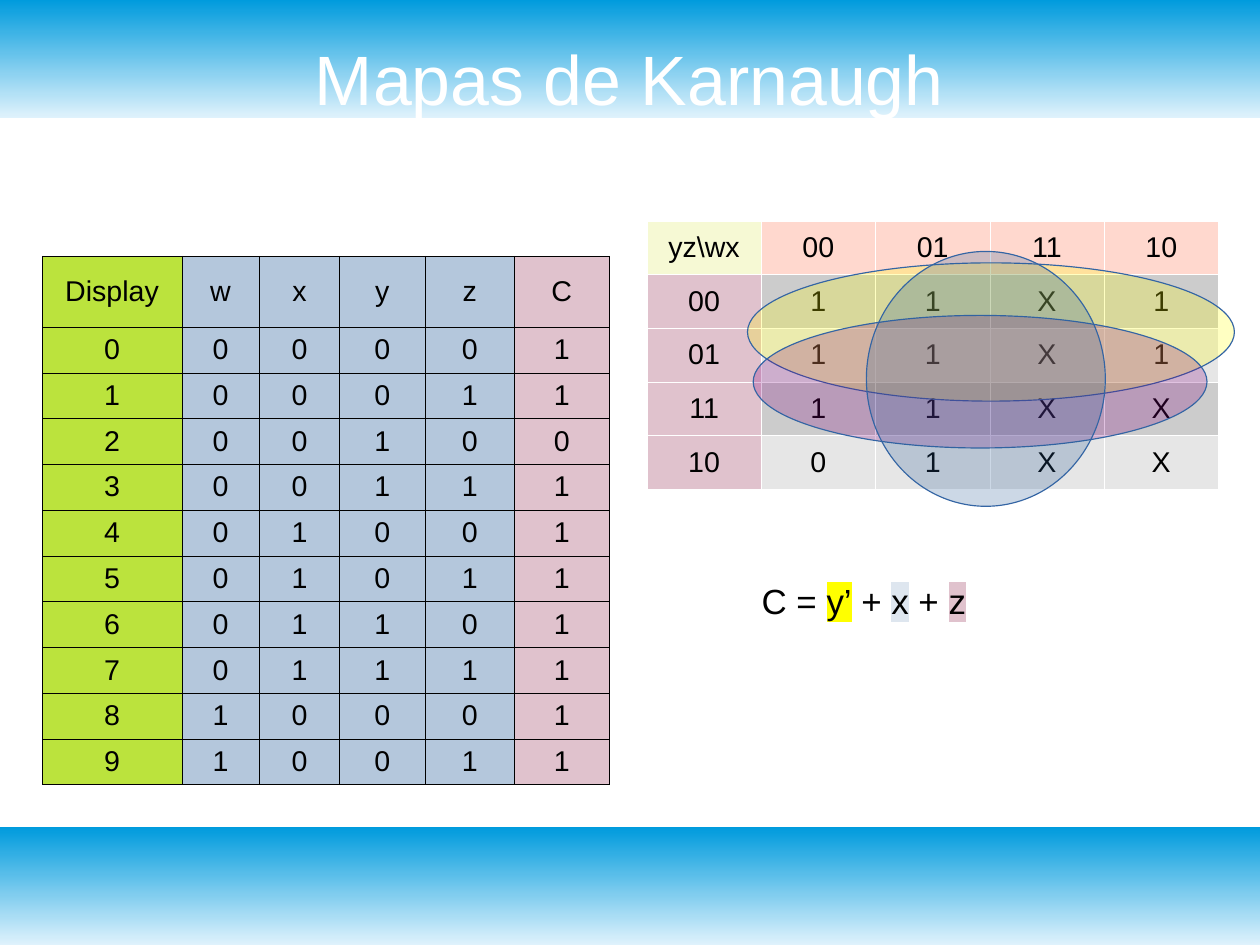
from dataclasses import dataclass
from typing import Callable

from lxml.etree import SubElement
from pptx import Presentation
from pptx.dml.color import RGBColor
from pptx.enum.shapes import MSO_SHAPE
from pptx.enum.text import MSO_ANCHOR, MSO_AUTO_SIZE, PP_ALIGN
from pptx.oxml.ns import qn
from pptx.slide import Slide
from pptx.util import Inches, Pt

COLORS = {
    "white": "FFFFFF", "black": "000000", "sky": "009BDD", "pale_sky": "DFF2FC",
    "green": "BBE33D", "blue": "B4C7DC", "pink": "E0C2CD", "cream": "F6F9D4",
    "salmon": "FFD8CE", "gray": "CCCCCC", "light_gray": "E6E6E6",
    "yellow": "FFFF00", "purple": "800080", "navy": "2A6099",
    "outline": "3465A4", "pale_blue": "DEE6EF",
}
FONT = "Arial"
CENTIMETRES_PER_INCH = 2.54
SLIDE_WIDTH = 28 / CENTIMETRES_PER_INCH
SLIDE_HEIGHT = 21 / CENTIMETRES_PER_INCH
BAND_HEIGHT = 1.03


@dataclass
class Grid:
    """A table with its position, sizes, texts and cell colour rule."""
    left: float
    top: float
    widths: list[float]
    heights: list[float]
    rows: list[list[str]]
    border: str
    fill_rule: Callable[[int, int], str]


@dataclass
class Group:
    """An ellipse around a group of cells in the Karnaugh map."""
    left: float
    top: float
    width: float
    height: float
    color: str


def truth_fill(row: int, column: int) -> str:
    """Return the colour name of a truth table cell."""
    return {0: "green", 5: "pink"}.get(column, "blue")


def map_fill(row: int, column: int) -> str:
    """Return the colour name of a Karnaugh map cell."""
    if row == 0:
        return "salmon" if column else "cream"
    if column == 0:
        return "pink"
    return "gray" if row % 2 else "light_gray"


OUTPUT_C = "1101111111"
TRUTH_ROWS = [["Display", *"wxyz", "C"]] + [
    [str(digit), *f"{digit:04b}", output] for digit, output in enumerate(OUTPUT_C)
]
GRAY_CODE = ["00", "01", "11", "10"]
MAP_ROWS = [["yz\\wx", *GRAY_CODE]] + [
    [code, *values] for code, values in zip(GRAY_CODE, ["11X1", "11X1", "11XX", "01XX"])
]
GRIDS = [
    Grid(5.66, 1.93, [1.0] * 5, [0.47] * 5, MAP_ROWS, "white", map_fill),
    Grid(0.37, 2.24, [1.22, 0.68, 0.7, 0.75, 0.78, 0.83], [0.62] + [0.38] * 10,
         TRUTH_ROWS, "black", truth_fill),
]
ROW_GROUPS = [
    Group(6.54, 2.3, 4.26, 1.21, "yellow"),
    Group(6.59, 2.76, 3.97, 1.16, "purple"),
]
COLUMN_GROUP = Group(7.58, 2.2, 2.09, 2.23, "navy")
FORMULA = [("C = ", ""), ("y’", "yellow"), (" + ", ""), ("x", "pale_blue"),
           (" + ", ""), ("z", "pink"), (" ", "")]


def rgb(name: str) -> RGBColor:
    """Return the named colour."""
    return RGBColor.from_string(COLORS[name])


def style_text(paragraph, size: float, color: str) -> None:
    """Centre a paragraph and format its runs."""
    paragraph.alignment = PP_ALIGN.CENTER
    for run in paragraph.runs:
        run.font.size = Pt(size)
        run.font.name = FONT
        run.font.color.rgb = rgb(color)


def add_band(slide: Slide, top: float) -> None:
    """Add a full-width gradient band."""
    band = slide.shapes.add_shape(MSO_SHAPE.RECTANGLE, 0, Inches(top),
                                  Inches(SLIDE_WIDTH), Inches(BAND_HEIGHT))
    band.shadow.inherit = False
    band.line.fill.background()
    band.fill.gradient()
    band.fill.gradient_angle = 90
    for stop, name in zip(band.fill.gradient_stops, ["pale_sky", "sky"]):
        stop.color.rgb = rgb(name)


def set_title(slide: Slide, text: str) -> None:
    """Fill the title placeholder and bring it in front of the bands."""
    title = slide.shapes.title
    title.left, title.top = Inches(0.55), Inches(0.33)
    title.width, title.height = Inches(9.92), Inches(0.7)
    frame = title.text_frame
    frame.text = text
    frame.margin_left = frame.margin_right = frame.margin_top = frame.margin_bottom = 0
    frame.vertical_anchor = MSO_ANCHOR.MIDDLE
    frame.auto_size = MSO_AUTO_SIZE.SHAPE_TO_FIT_TEXT
    style_text(frame.paragraphs[0], 44, "white")
    slide.shapes.element.append(title.element)


def set_borders(cell, color: str) -> None:
    """Draw a hairline on every side of a cell."""
    properties = cell._tc.get_or_add_tcPr()
    for position, side in enumerate(["a:lnL", "a:lnR", "a:lnT", "a:lnB"]):
        line = SubElement(properties, qn(side), w=str(Pt(0.06)))
        fill = SubElement(line, qn("a:solidFill"))
        SubElement(fill, qn("a:srgbClr"), val=COLORS[color])
        properties.insert(position, line)


def add_grid(slide: Slide, grid: Grid) -> None:
    """Add a table described by a grid."""
    frame = slide.shapes.add_table(
        len(grid.heights), len(grid.widths), Inches(grid.left), Inches(grid.top),
        Inches(sum(grid.widths)), Inches(sum(grid.heights)))
    table = frame.table
    table.first_row = table.horz_banding = False
    for column, width in zip(table.columns, grid.widths):
        column.width = Inches(width)
    for row, height in zip(table.rows, grid.heights):
        row.height = Inches(height)
    for row_index, texts in enumerate(grid.rows):
        for column_index, text in enumerate(texts):
            cell = table.cell(row_index, column_index)
            cell.text_frame.text = text
            cell.vertical_anchor = MSO_ANCHOR.MIDDLE
            style_text(cell.text_frame.paragraphs[0], 18, "black")
            cell.fill.solid()
            cell.fill.fore_color.rgb = rgb(grid.fill_rule(row_index, column_index))
            set_borders(cell, grid.border)


def add_group(slide: Slide, group: Group) -> None:
    """Add a translucent ellipse."""
    ellipse = slide.shapes.add_shape(MSO_SHAPE.OVAL, Inches(group.left), Inches(group.top),
                                     Inches(group.width), Inches(group.height))
    ellipse.shadow.inherit = False
    ellipse.fill.solid()
    ellipse.fill.fore_color.rgb = rgb(group.color)
    color = ellipse.element.spPr.find(qn("a:solidFill")).find(qn("a:srgbClr"))
    SubElement(color, qn("a:alpha"), val="24000")
    ellipse.line.color.rgb = rgb("outline")
    ellipse.line.width = Pt(0)


def add_formula(slide: Slide) -> None:
    """Add the simplified expression with highlighted terms."""
    box = slide.shapes.add_textbox(Inches(5.87), Inches(4.66), Inches(3.46), Inches(1.18))
    frame = box.text_frame
    frame.word_wrap = True
    frame.vertical_anchor = MSO_ANCHOR.MIDDLE
    paragraph = frame.paragraphs[0]
    for text, _ in FORMULA:
        paragraph.add_run().text = text
    style_text(paragraph, 22, "black")
    for run, (_, color) in zip(paragraph.runs, FORMULA):
        if color:
            properties = run.font._element
            highlight = SubElement(properties, qn("a:highlight"))
            SubElement(highlight, qn("a:srgbClr"), val=COLORS[color])
            properties.find(qn("a:solidFill")).addnext(highlight)


def main() -> None:
    """Build and save the presentation."""
    presentation = Presentation()
    presentation.slide_width = Inches(SLIDE_WIDTH)
    presentation.slide_height = Inches(SLIDE_HEIGHT)
    slide = presentation.slides.add_slide(presentation.slide_layouts[5])
    for top in (0, SLIDE_HEIGHT - BAND_HEIGHT):
        add_band(slide, top)
    set_title(slide, "Mapas de Karnaugh")
    for grid in GRIDS:
        add_grid(slide, grid)
    for group in ROW_GROUPS:
        add_group(slide, group)
    add_formula(slide)
    add_group(slide, COLUMN_GROUP)
    presentation.save("out.pptx")


if __name__ == "__main__":
    main()
